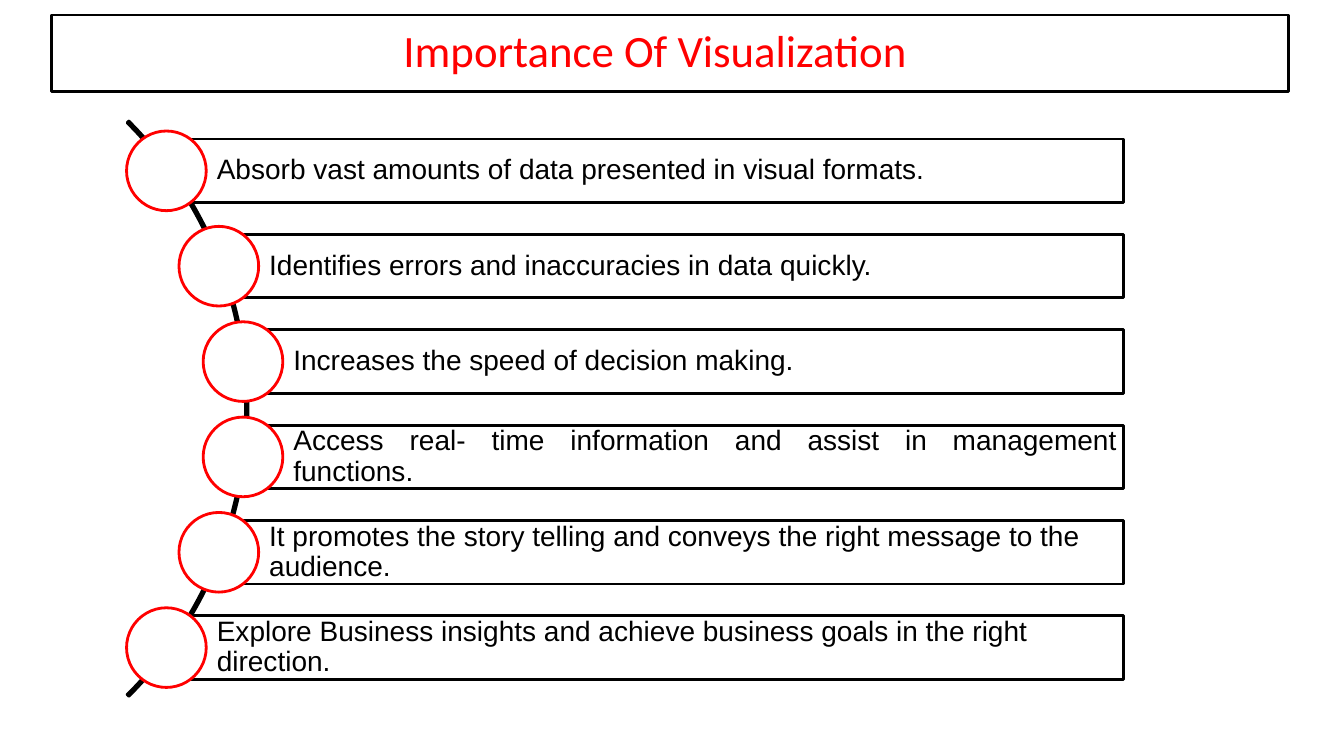
from dataclasses import dataclass

from pptx import Presentation
from pptx import util as u
from pptx.dml.color import RGBColor
from pptx.enum import shapes, text


@dataclass(frozen=True)
class Theme:
    ink: str = "000000"
    accent: str = "FF0000"
    paper: str = "FFFFFF"
    title_font: str = "Calibri"
    body_font: str = "Arial"
    title_size: int = 32
    body_size: int = 20
    line_width: int = 2


class Painter:
    """Draws elements on one page in the style of a theme."""

    def __init__(self, page, theme):
        self.page = page
        self.theme = theme

    def shape(self, kind, left, top, width, height, line, fill=None):
        box = self.page.shapes.add_shape(
            kind, *map(u.Inches, (left, top, width, height)))
        box.shadow.inherit = False
        box.line.color.rgb = RGBColor.from_string(line)
        box.line.width = u.Pt(self.theme.line_width)
        if fill:
            box.fill.solid()
            box.fill.fore_color.rgb = RGBColor.from_string(fill)
        else:
            box.fill.background()
        return box

    def rectangle(self, left, top, width, height):
        return self.shape(shapes.MSO_SHAPE.RECTANGLE, left, top, width, height,
                          self.theme.ink)

    def circle(self, center_x, center_y, size):
        return self.shape(shapes.MSO_SHAPE.OVAL, center_x - size / 2,
                          center_y - size / 2, size, size,
                          self.theme.accent, self.theme.paper)

    def arc(self, left, top, size):
        """Draw a thin arc that spans 45 degrees either side of due east."""
        arc = self.shape(shapes.MSO_SHAPE.BLOCK_ARC, left, top, size, size,
                         self.theme.ink)
        for index, value in enumerate((189, 27, 0.003)):
            arc.adjustments[index] = value
        return arc

    def text_box(self, left, top, width, height):
        return self.page.shapes.add_textbox(
            *map(u.Inches, (left, top, width, height)))

    def add_text(self, box, words, *, font, size, color,
                 align=text.PP_ALIGN.LEFT, insets=(0.1, 0.05, 0.1, 0.05)):
        """Fill a box with one paragraph; insets run left, top, right, bottom."""
        frame = box.text_frame
        frame.word_wrap = True
        frame.vertical_anchor = text.MSO_ANCHOR.MIDDLE
        (frame.margin_left, frame.margin_top,
         frame.margin_right, frame.margin_bottom) = map(u.Inches, insets)
        para = frame.paragraphs[0]
        para.alignment = align
        para.line_spacing = 0.9
        span = para.add_run()
        span.text = words
        span.font.name = font
        span.font.size = u.Pt(size)
        span.font.color.rgb = RGBColor.from_string(color)


BENEFITS = [
    "Absorb vast amounts of data presented in visual formats.",
    "Identifies errors and inaccuracies in data quickly.",
    "Increases the speed of decision making.",
    "Access real- time information and assist in management functions.",
    "It promotes the story telling and conveys the right message to the audience.",
    "Explore Business insights and achieve business goals in the right direction.",
]
JUSTIFIED_ROW = 3
UPPER_LEFTS = [1.65, 2.17, 2.41]
ROW_LEFTS = UPPER_LEFTS + UPPER_LEFTS[::-1]
ROW_RIGHT = 11.14
ROW_HEIGHT = 0.63
FIRST_TOP, LAST_TOP = 1.38, 6.11
CIRCLE_SIZE = 0.79


def draw_benefits(painter):
    theme = painter.theme
    painter.arc(-5.61, 0.02, 8.07)
    pitch = (LAST_TOP - FIRST_TOP) / (len(BENEFITS) - 1)
    for row, (words, left) in enumerate(zip(BENEFITS, ROW_LEFTS)):
        top = FIRST_TOP + row * pitch
        bar = painter.rectangle(left, top, ROW_RIGHT - left, ROW_HEIGHT)
        align = (text.PP_ALIGN.JUSTIFY if row == JUSTIFIED_ROW
                 else text.PP_ALIGN.LEFT)
        painter.add_text(bar, words, font=theme.body_font,
                         size=theme.body_size, color=theme.ink, align=align,
                         insets=(0.5, 0.06, 0.06, 0.06))
        painter.circle(left, top + ROW_HEIGHT / 2, CIRCLE_SIZE)


def draw_title(painter):
    theme = painter.theme
    title = painter.text_box(0.75, 0.15, 11.5, 0.76)
    painter.add_text(title, "Importance Of Visualization",
                     font=theme.title_font, size=theme.title_size,
                     color=theme.accent, align=text.PP_ALIGN.CENTER)
    painter.rectangle(0.51, 0.15, 12.27, 0.76)


def main():
    deck = Presentation()
    deck.slide_width = u.Inches(13.33)
    deck.slide_height = u.Inches(7.5)
    page = deck.slides.add_slide(deck.slide_layouts[6])
    painter = Painter(page, Theme())
    draw_title(painter)
    draw_benefits(painter)
    deck.save("out.pptx")


if __name__ == "__main__":
    main()
